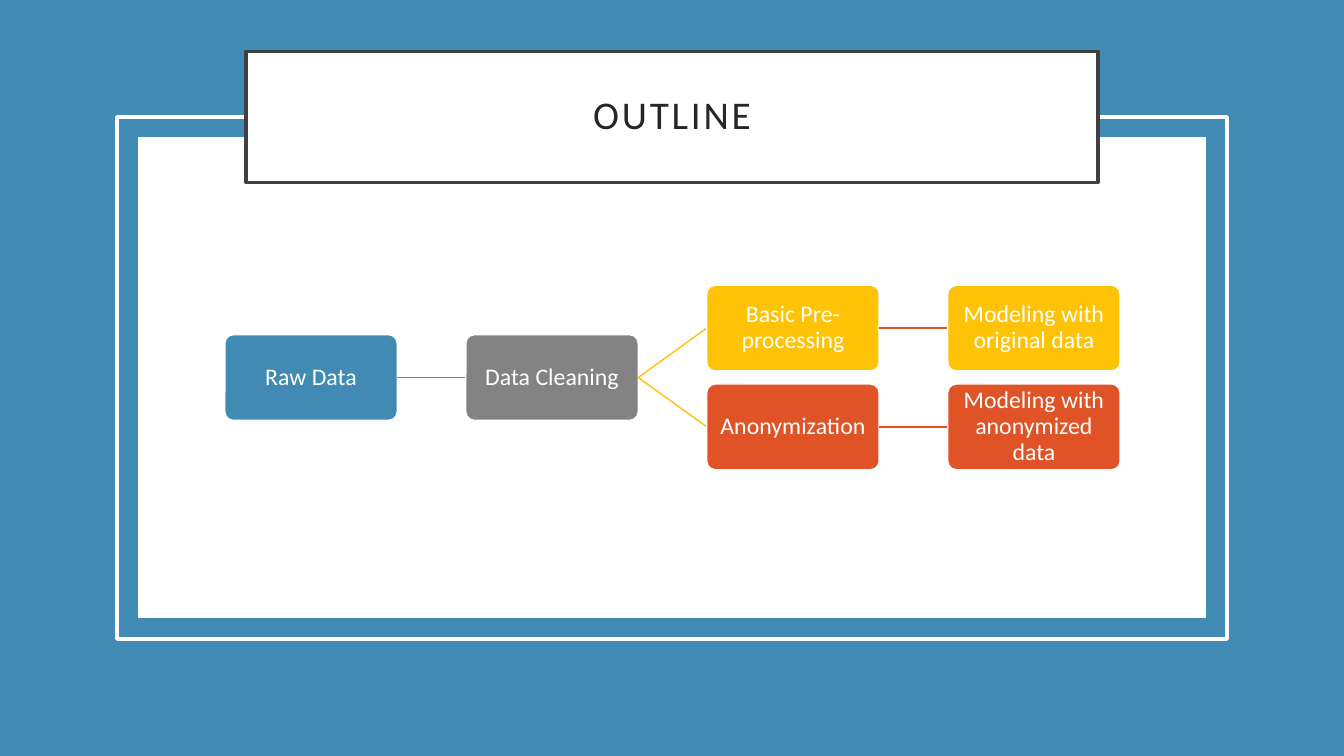
from dataclasses import dataclass
from typing import NamedTuple

from lxml.etree import SubElement
from pptx import Presentation
from pptx.dml.color import RGBColor as RGB
from pptx.enum.shapes import MSO_CONNECTOR as CONN, MSO_SHAPE as SHAPE
from pptx.enum.text import MSO_ANCHOR as ANCHOR, PP_ALIGN as ALIGN
from pptx.oxml.ns import qn
from pptx.util import Inches, Pt


@dataclass(frozen=True)
class Theme:
    font: str = "Calibri"
    title_size: float = 28
    node_size: float = 17
    spacing: float = 0.9
    frame_line: float = 2.5
    thin_line: float = 1
    blue: str = "418AB3"
    gray: str = "838383"
    yellow: str = "FEC306"
    orange: str = "DF5327"
    white: str = "FFFFFF"
    dark: str = "404040"
    ink: str = "262626"


class Box(NamedTuple):
    x: float
    y: float
    w: float
    h: float


class Step(NamedTuple):
    text: str
    col: int
    row: float
    fill: str
    parent: int = -1
    link: str = ""


T = Theme()
SLIDE = Box(0, 0, 13.33, 7.5)
FLOW = Box(2.23, 2.83, 8.88, 1.83)
NODE_W, NODE_H = 1.71, 0.85
COLS, ROWS = 4, 2
STEPS = [
    Step("Raw Data", 0, 0.5, T.blue),
    Step("Data Cleaning", 1, 0.5, T.gray, 0, T.gray),
    Step("Basic Pre-processing", 2, 0, T.yellow, 1, T.yellow),
    Step("Modeling with original data", 3, 0, T.yellow, 2, T.orange),
    Step("Anonymization", 2, 1, T.orange, 1, T.yellow),
    Step("Modeling with anonymized data", 3, 1, T.orange, 4, T.orange),
]


def add_box(slide, box, fill=None, line=None, width=0, kind=SHAPE.RECTANGLE):
    sp = slide.shapes.add_shape(kind, *map(Inches, box))
    sp.shadow.inherit = False
    if fill:
        sp.fill.solid()
        sp.fill.fore_color.rgb = RGB.from_string(fill)
    else:
        sp.fill.background()
    if line:
        sp.line.color.rgb = RGB.from_string(line)
        sp.line.width = Pt(width)
    else:
        sp.line.fill.background()
    return sp


def add_text(sp, text, size, color, inset):
    tf = sp.text_frame
    tf.word_wrap = True
    tf.vertical_anchor = ANCHOR.MIDDLE
    tf.margin_left = tf.margin_right = Inches(inset)
    tf.margin_top = tf.margin_bottom = Inches(inset)
    p = tf.paragraphs[0]
    p.alignment = ALIGN.CENTER
    p.line_spacing = T.spacing
    r = p.add_run()
    r.text = text
    r.font.name = T.font
    r.font.size = Pt(size)
    r.font.color.rgb = RGB.from_string(color)
    return r


def add_link(slide, source, target, color):
    link = slide.shapes.add_connector(CONN.STRAIGHT, 0, 0, 0, 0)
    link.begin_connect(source, 3)
    link.end_connect(target, 1)
    link.line.color.rgb = RGB.from_string(color)
    link.line.width = Pt(T.thin_line)
    SubElement(link._element.spPr, qn("a:effectLst"))
    target._element.addprevious(link._element)


def draw_frame(slide, box):
    add_box(slide, box, T.blue)
    for inset_x, inset_top, inset_bottom, fill, line in (
        (1.37, 1.36, 1.37, T.white, None),
        (1.16, 1.16, 1.16, None, T.white),
    ):
        panel = Box(box.x + inset_x, box.y + inset_top,
                    box.w - 2 * inset_x, box.h - inset_top - inset_bottom)
        add_box(slide, panel, fill, line, T.frame_line)


def draw_title(slide, box, text):
    sp = add_box(slide, box, T.white, T.dark, T.frame_line)
    r = add_text(sp, text, T.title_size, T.ink, 0.2)
    r.font._element.set("spc", "200")


def draw_flow(slide, box, steps):
    pitch_x = (box.w - NODE_W) / (COLS - 1)
    pitch_y = (box.h - NODE_H) / (ROWS - 1)
    nodes = []
    for step in steps:
        place = Box(box.x + step.col * pitch_x, box.y + step.row * pitch_y,
                    NODE_W, NODE_H)
        sp = add_box(slide, place, step.fill, T.white, T.thin_line,
                     SHAPE.ROUNDED_RECTANGLE)
        sp.adjustments[0] = 0.1
        add_text(sp, step.text, T.node_size, T.white, 0.01)
        if step.link:
            add_link(slide, nodes[step.parent], sp, step.link)
        nodes.append(sp)


def main():
    prs = Presentation()
    prs.slide_width, prs.slide_height = Inches(SLIDE.w), Inches(SLIDE.h)
    slide = prs.slides.add_slide(prs.slide_layouts[6])
    draw_frame(slide, SLIDE)
    draw_title(slide, Box(2.44, 0.51, 8.45, 1.3), "OUTLINE")
    draw_flow(slide, FLOW, STEPS)
    prs.save("out.pptx")


if __name__ == "__main__":
    main()
